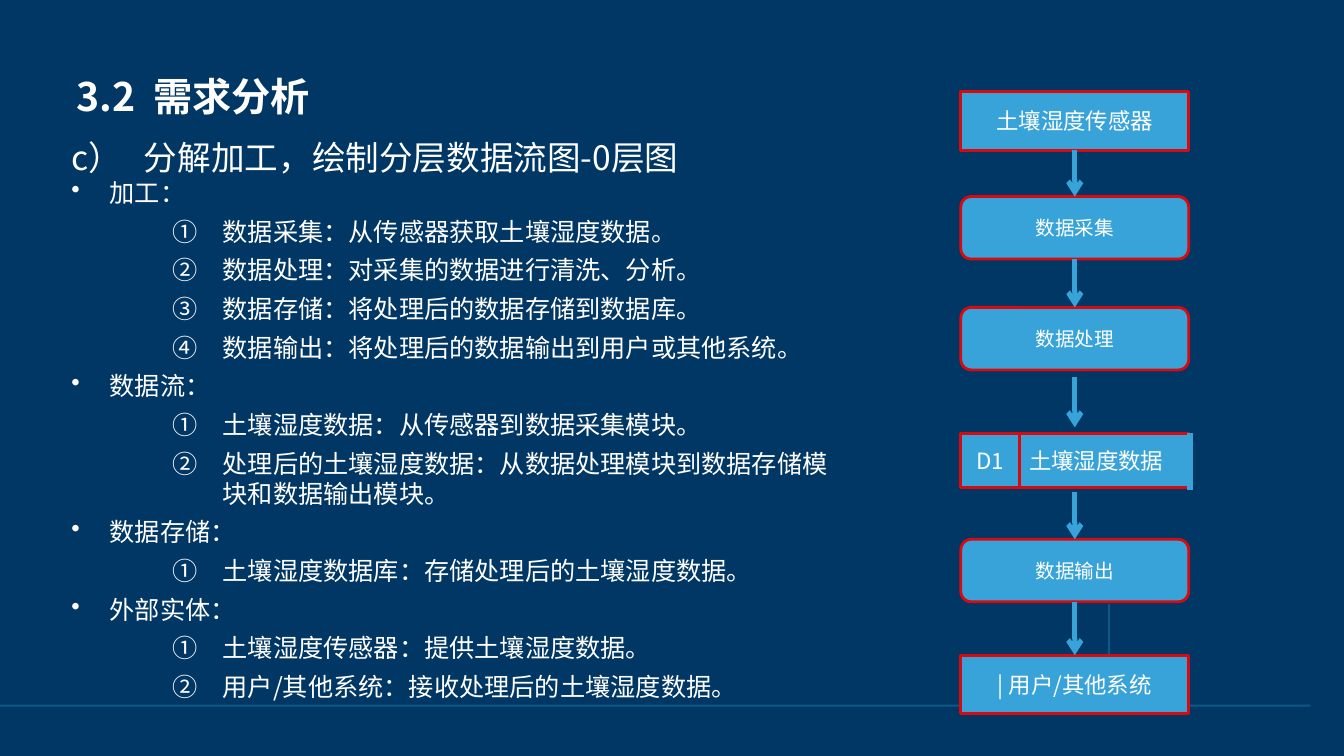
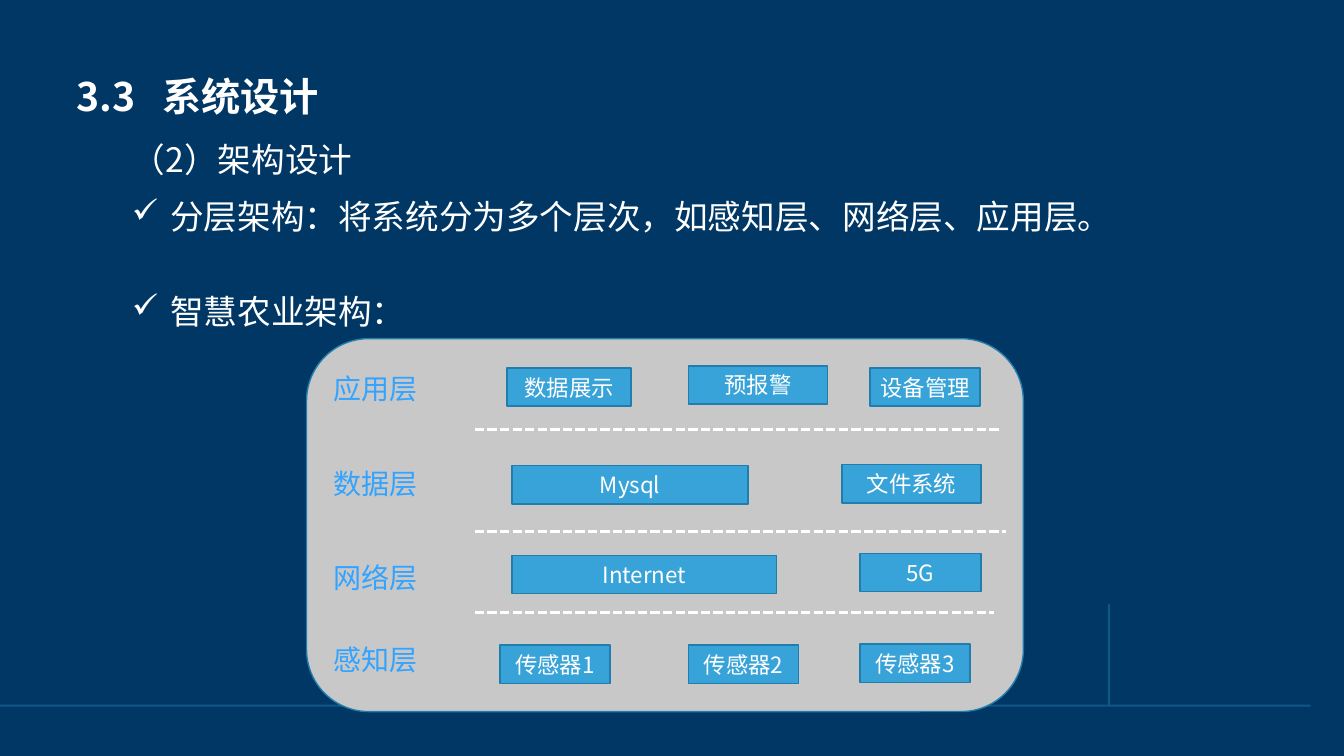
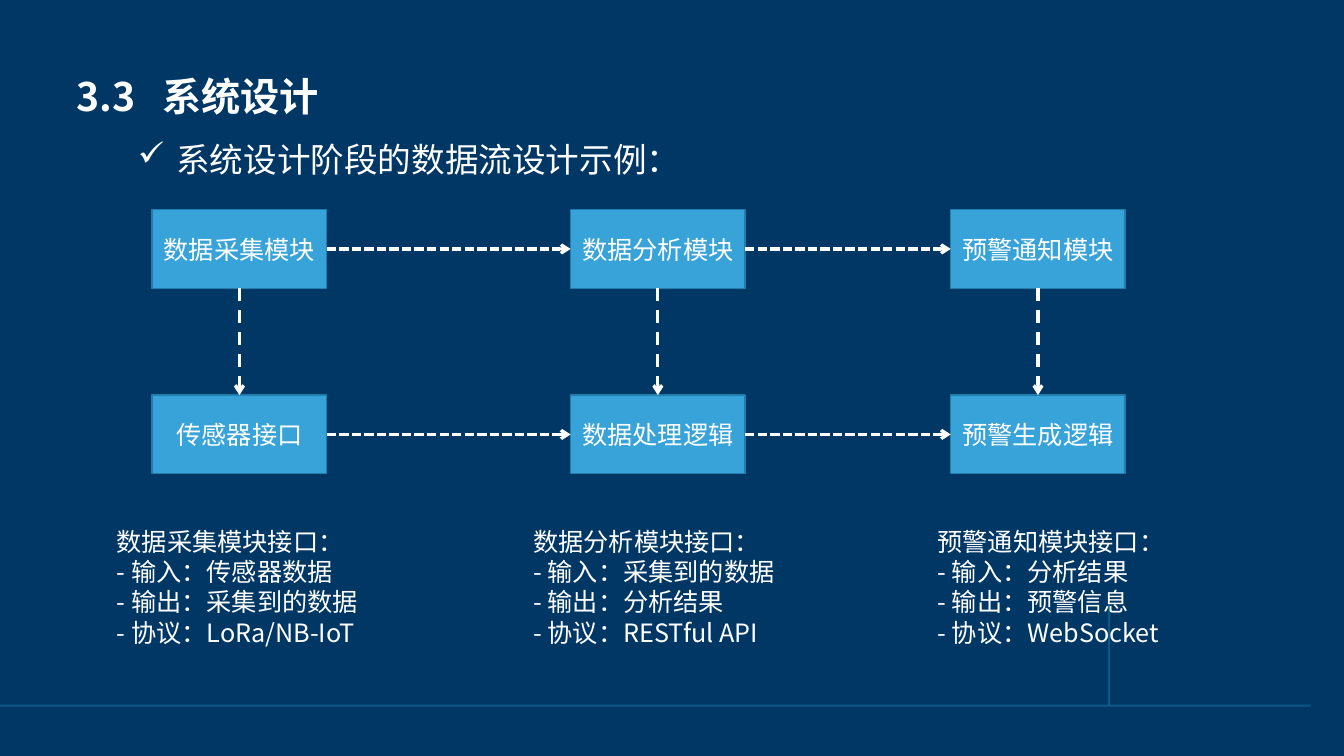
from lxml import etree
from pptx import Presentation
from pptx.dml.color import RGBColor
from pptx.enum.dml import MSO_LINE
from pptx.enum.shapes import MSO_CONNECTOR, MSO_SHAPE
from pptx.enum.text import MSO_ANCHOR, PP_ALIGN
from pptx.oxml.ns import qn
from pptx.util import Inches, Pt

NAVY = RGBColor(0x00, 0x37, 0x64)
WHITE = RGBColor(0xFF, 0xFF, 0xFF)
BLUE = RGBColor(0x38, 0xA3, 0xD8)
EDGE = RGBColor(0x21, 0x7D, 0xAB)
RED = RGBColor(0xD8, 0x09, 0x0F)
GREY = RGBColor(0xC8, 0xC8, 0xC8)
SKY = RGBColor(0x32, 0xA3, 0xFF)
FONT = "Noto Sans CJK SC"

RECT = MSO_SHAPE.RECTANGLE
ROUND = MSO_SHAPE.ROUNDED_RECTANGLE
STRAIGHT = MSO_CONNECTOR.STRAIGHT
LEFT, CENTER = PP_ALIGN.LEFT, PP_ALIGN.CENTER
MIDDLE, BOTTOM = MSO_ANCHOR.MIDDLE, MSO_ANCHOR.BOTTOM
DASH, DOTS = MSO_LINE.DASH, MSO_LINE.SQUARE_DOT
TOP_SIDE, LEFT_SIDE, BOTTOM_SIDE, RIGHT_SIDE = range(4)

SKYLINE = [
    (13.33, 7.34), (11.9, 7.34), (11.9, 7.13), (11.63, 7.13), (11.64, 6.8),
    (11.24, 6.79), (11.24, 7.06), (11.35, 7.06), (11.35, 6.08), (10.84, 5.97),
    (10.84, 7.26), (11.05, 7.26), (11.05, 6.6), (10.61, 6.51), (10.61, 6.96),
    (10.29, 6.96), (10.29, 7.34), (0, 7.34),
]


# Text
def style(par, size, color=WHITE, bold=False):
    font = par.font
    font.name, font.size, font.bold = FONT, Pt(size), bold
    font.color.rgb = color
    props = par._p.pPr.find(qn("a:defRPr"))
    etree.SubElement(props, qn("a:ea"), typeface=FONT)


def add_bullet(par, tag, margin, hang, **attrs):
    props = par._p.get_or_add_pPr()
    props.set("marL", str(Inches(margin)))
    props.set("indent", str(-Inches(hang)))
    etree.SubElement(props, qn(tag), **attrs)


def add_mark(par, char):
    add_bullet(par, "a:buChar", 0.38, 0.38, char=char)


def add_tab(par, pos):
    tabs = etree.SubElement(par._p.get_or_add_pPr(), qn("a:tabLst"))
    etree.SubElement(tabs, qn("a:tab"), pos=str(Inches(pos)), algn="l")


def add_frame(slide, left, top, width, height):
    box = slide.shapes.add_textbox(
        Inches(left), Inches(top), Inches(width), Inches(height))
    box.text_frame.word_wrap = True
    return box.text_frame


def add_par(frame, text, space=0):
    par = frame.paragraphs[0]
    if par.text:
        par = frame.add_paragraph()
        par.space_before = Pt(space)
    par.text = text
    return par


def add_text(slide, spot, lines, size, color=WHITE, mark=None):
    frame = add_frame(slide, *spot)
    for line in lines:
        par = add_par(frame, line)
        if mark:
            add_mark(par, mark)
        style(par, size, color)


# Shapes and lines
def add_box(slide, spot, text, size=16, edge=EDGE, weight=1,
            kind=RECT, align=CENTER, fill=BLUE):
    box = slide.shapes.add_shape(kind, *map(Inches, spot))
    box.shadow.inherit = False
    box.fill.solid()
    box.fill.fore_color.rgb = fill
    box.line.color.rgb = edge
    box.line.width = Pt(weight)
    if text:
        frame = box.text_frame
        frame.word_wrap = align == LEFT
        frame.vertical_anchor = MIDDLE
        par = add_par(frame, text)
        par.alignment = align
        style(par, size)
    return box


def add_line(slide, start=(0, 0), end=(0, 0), color=WHITE, weight=2.25,
             dash=None, arrow=False):
    line = slide.shapes.add_connector(STRAIGHT, *map(Inches, start + end))
    line.line.color.rgb = color
    line.line.width = Pt(weight)
    if dash:
        line.line.dash_style = dash
    if arrow:
        etree.SubElement(line.line._get_or_add_ln(), qn("a:tailEnd"), type="arrow")
    etree.SubElement(line._element.spPr, qn("a:effectLst"))
    return line


def join(slide, first, side, second, other, **look):
    line = add_line(slide, arrow=True, **look)
    line.begin_connect(first, side)
    line.end_connect(second, other)


# Shared slide parts
def add_skyline(slide):
    path = slide.shapes.build_freeform(*SKYLINE[0], scale=Inches(1))
    path.add_line_segments(SKYLINE[1:], close=False)
    shape = path.convert_to_shape()
    shape.shadow.inherit = False
    shape.fill.background()
    shape.line.color.rgb = BLUE
    shape.line.width = Pt(1.5)
    tint = shape.line._get_or_add_ln().find(".//" + qn("a:srgbClr"))
    etree.SubElement(tint, qn("a:alpha"), val="30000")


def new_slide(deck, number, name, gap):
    slide = deck.slides.add_slide(deck.slide_layouts[6])
    add_skyline(slide)
    frame = add_frame(slide, 0.76, 0.39, 11.81, 0.79)
    frame.margin_left = frame.margin_right = 0
    frame.margin_top = frame.margin_bottom = 0
    frame.vertical_anchor = BOTTOM
    par = add_par(frame, f"{number}\t{name}")
    add_tab(par, gap)
    style(par, 28, bold=True)
    return slide


# Slide 1: data flow
def add_outline(slide):
    frame = add_frame(slide, 0.61, 1.31, 7.93, 5.75)
    head = add_par(frame, "c）\t分解加工，绘制分层数据流图-0层图")
    add_tab(head, 0.72)
    style(head, 24)
    groups = {
        "加工：": [
            "数据采集：从传感器获取土壤湿度数据。",
            "数据处理：对采集的数据进行清洗、分析。",
            "数据存储：将处理后的数据存储到数据库。",
            "数据输出：将处理后的数据输出到用户或其他系统。"],
        "数据流：": [
            "土壤湿度数据：从传感器到数据采集模块。",
            "处理后的土壤湿度数据：从数据处理模块到数据存储模块和数据输出模块。"],
        "数据存储：": ["土壤湿度数据库：存储处理后的土壤湿度数据。"],
        "外部实体：": [
            "土壤湿度传感器：提供土壤湿度数据。",
            "用户/其他系统：接收处理后的土壤湿度数据。"],
    }
    for i, (group, items) in enumerate(groups.items()):
        par = add_par(frame, group, 6 if i else 0)
        add_mark(par, "•")
        style(par, 18)
        for item in items:
            par = add_par(frame, item, 6)
            par.level = 1
            add_bullet(par, "a:buAutoNum", 1.5, 0.5, type="circleNumDbPlain")
            style(par, 18)


def add_flow(slide):
    left, width = 9.53, 2.26
    mid = left + width / 2

    def node(top, height, text, size, kind):
        return add_box(slide, (left, top, width, height), text, size, RED, 2, kind)

    source = node(0.91, 0.58, "土壤湿度传感器", 16, RECT)
    collect = node(1.95, 0.62, "数据采集", 14, ROUND)
    process = node(3.05, 0.62, "数据处理", 14, ROUND)
    output = node(5.35, 0.62, "数据输出", 14, ROUND)
    user = node(6.5, 0.58, "| 用户/其他系统", 16, RECT)

    # Data store, open on the right
    add_box(slide, (left, 4.3, 0.58, 0.54), "D1", 16, RED, 2.25)
    add_box(slide, (10.11, 4.3, 1.69, 0.54), "土壤湿度数据", 16, RED, 2.25, align=LEFT)
    add_line(slide, (11.8, 4.3), (11.8, 4.86), BLUE, 4.5)

    look = {"color": BLUE, "weight": 3.5}
    for first, second in ((source, collect), (collect, process), (output, user)):
        join(slide, first, BOTTOM_SIDE, second, TOP_SIDE, **look)
    add_line(slide, (mid, 3.74), (mid, 4.24), arrow=True, **look)
    line = add_line(slide, (mid, 4.88), (mid, 5.35), arrow=True, **look)
    line.end_connect(output, TOP_SIDE)


# Slide 2: layers
def add_layers(slide):
    add_box(slide, (3.04, 3.36, 7.11, 3.7), "", kind=ROUND, fill=GREY)
    layers = [
        ("应用层", 3.64, [("数据展示", 5.03, 3.65, 1.23), ("预报警", 6.83, 3.63, 1.38),
                       ("设备管理", 8.63, 3.65, 1.09)]),
        ("数据层", 4.58, [("Mysql", 5.08, 4.62, 2.34), ("文件系统", 8.35, 4.61, 1.38)]),
        ("网络层", 5.51, [("Internet", 5.08, 5.51, 2.62), ("5G", 8.53, 5.49, 1.2)]),
        ("感知层", 6.32, [("传感器1", 4.96, 6.4, 1.09), ("传感器2", 6.83, 6.4, 1.09),
                       ("传感器3", 8.53, 6.39, 1.09)]),
    ]
    for name, level, parts in layers:
        add_text(slide, (3.21, level, 1.2, 0.44), [name], 20, SKY)
        for text, left, top, width in parts:
            add_box(slide, (left, top, width, 0.38), text)
    for y, right in ((4.26, 9.93), (5.27, 9.98), (6.08, 9.86)):
        add_line(slide, (4.71, y), (right, y), dash=DOTS)


def add_design(slide):
    frame = add_frame(slide, 1.21, 1.33, 11.11, 1.19)
    style(add_par(frame, "（2）架构设计"), 24)
    par = add_par(frame, "分层架构：将系统分为多个层次，如感知层、网络层、应用层。", 12)
    add_mark(par, "✓")
    style(par, 24)
    add_text(slide, (1.21, 2.84, 3.68, 0.5), ["智慧农业架构："], 24, mark="✓")


# Slide 3: modules
def add_modules(slide):
    names = [["数据采集模块", "数据分析模块", "预警通知模块"],
             ["传感器接口", "数据处理逻辑", "预警生成逻辑"]]
    grid = [[add_box(slide, (left, top, 1.73, 0.78), name, 18)
             for name, left in zip(row, (1.51, 5.66, 9.43))]
            for row, top in zip(names, (2.08, 3.92))]
    for row in grid:
        for first, second in zip(row, row[1:]):
            join(slide, first, RIGHT_SIDE, second, LEFT_SIDE, dash=DOTS)
    for upper, lower in zip(*grid):
        join(slide, upper, BOTTOM_SIDE, lower, TOP_SIDE, dash=DASH)

    notes = [(1.06, "传感器数据", "采集到的数据", "LoRa/NB-IoT"),
             (5.19, "采集到的数据", "分析结果", "RESTful API"),
             (9.2, "分析结果", "预警信息", "WebSocket")]
    for name, (left, given, result, proto) in zip(names[0], notes):
        lines = [f"{name}接口：", f"- 输入：{given}", f"- 输出：{result}", f"- 协议：{proto}"]
        add_text(slide, (left, 5.17, 2.96, 1.31), lines, 18)


def main():
    deck = Presentation()
    deck.slide_width, deck.slide_height = Inches(13.33), Inches(7.5)
    back = deck.slide_master.background.fill
    back.solid()
    back.fore_color.rgb = NAVY

    flow = new_slide(deck, "3.2", "需求分析", 0.76)
    add_outline(flow)
    add_flow(flow)

    design = new_slide(deck, "3.3", "系统设计", 0.85)
    add_design(design)
    add_layers(design)

    modules = new_slide(deck, "3.3", "系统设计", 0.85)
    add_text(modules, (1.27, 1.33, 11.11, 0.47),
             ["系统设计阶段的数据流设计示例："], 24, mark="✓")
    add_modules(modules)

    deck.save("out.pptx")


if __name__ == "__main__":
    main()
